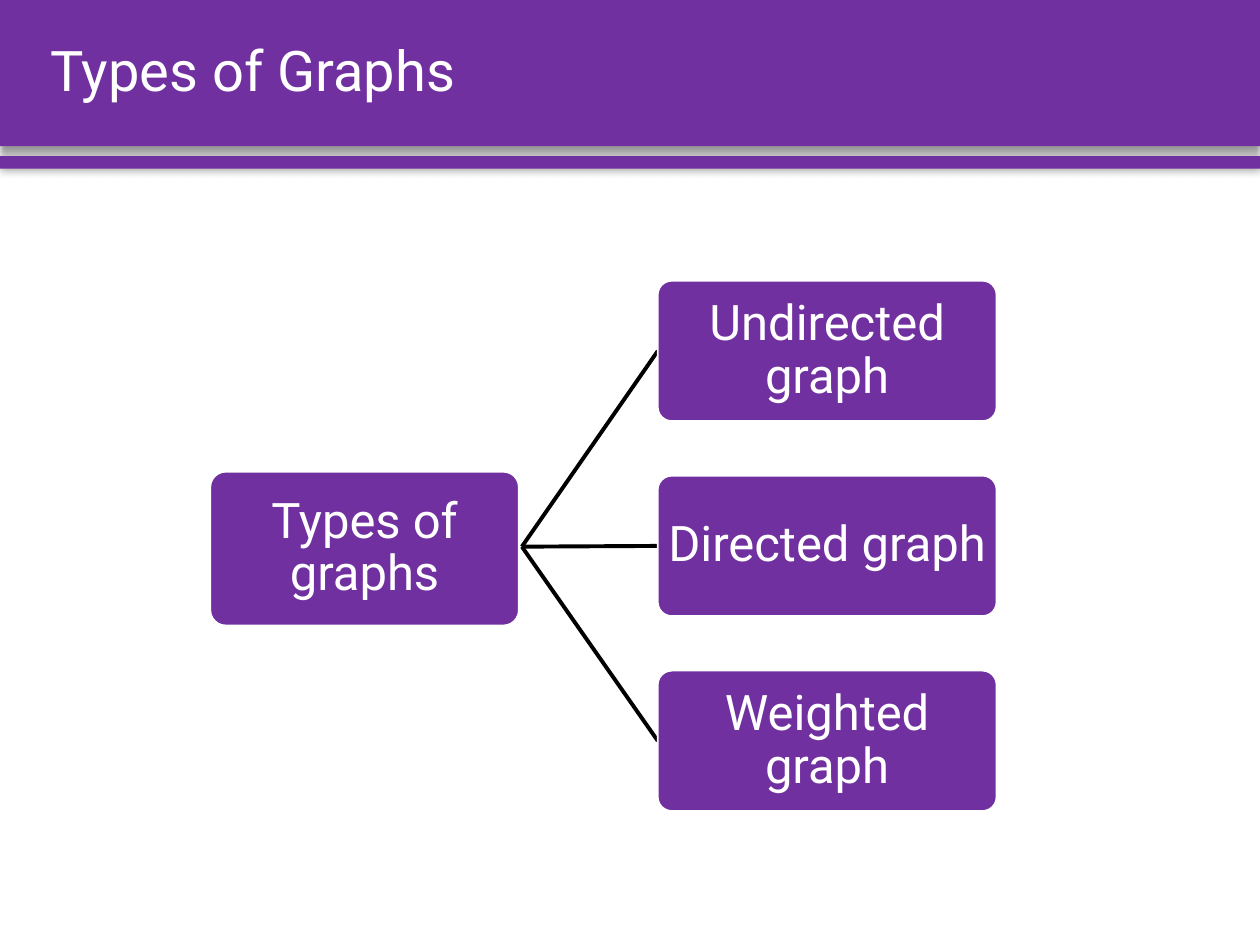
from dataclasses import dataclass

from lxml import etree
from pptx import Presentation
from pptx.dml.color import RGBColor
from pptx.enum.shapes import MSO_CONNECTOR, MSO_SHAPE
from pptx.enum.text import MSO_ANCHOR, PP_ALIGN
from pptx.oxml.ns import qn
from pptx.shapes.autoshape import Shape
from pptx.util import Cm, Pt

RECT = MSO_SHAPE.RECTANGLE
ROUND = MSO_SHAPE.ROUNDED_RECTANGLE
LINE = MSO_CONNECTOR.STRAIGHT
MIDDLE = MSO_ANCHOR.MIDDLE
LEFT, CENTER = PP_ALIGN.LEFT, PP_ALIGN.CENTER

PURPLE, WHITE, BLACK = "7030A0", "FFFFFF", "000000"
FONT = "Roboto"
LEFT_SIDE = 1
WIDTH, HEIGHT = 25.4, 19.05


@dataclass
class Band:
    top: float
    high: float
    blur: float
    dist: float
    angle: int


@dataclass
class Node:
    text: str
    left: float
    top: float
    wide: float
    high: float


BANDS = [Band(0, 2.95, 4, 3, 90), Band(3.15, 0.25, 5, 0, 0)]
ROOT = Node("Types of graphs", 4.24, 9.51, 6.22, 3.1)
KINDS = ["Undirected graph", "Directed graph", "Weighted graph"]
LEAVES = [Node(kind, 13.26, 5.66 + 3.93 * row, 6.83, 2.83)
          for row, kind in enumerate(KINDS)]
FORK = (10.52, 11.02)


def paint(part, color: str) -> None:
    part.solid()
    part.fore_color.rgb = RGBColor.from_string(color)


def write(shape: Shape, text: str, size: int, align: PP_ALIGN) -> None:
    frame = shape.text_frame
    frame.text = text
    frame.word_wrap = True
    frame.vertical_anchor = MIDDLE
    para = frame.paragraphs[0]
    para.alignment = align
    para.line_spacing = 0.9
    para.font.name = FONT
    para.font.size = Pt(size)
    para.font.color.rgb = RGBColor.from_string(WHITE)


def draw_band(slide, band: Band) -> None:
    shape = slide.shapes.add_shape(
        RECT, 0, Cm(band.top), Cm(WIDTH), Cm(band.high))
    paint(shape.fill, PURPLE)
    shape.line.fill.background()
    # Soft shadow below the band
    shape.shadow.inherit = False
    effects = shape.element.spPr.find(qn("a:effectLst"))
    shadow = etree.SubElement(
        effects, qn("a:outerShdw"), blurRad=str(Pt(band.blur)),
        dist=str(Pt(band.dist)), dir=str(band.angle * 60000),
        algn="ctr", rotWithShape="0")
    color = etree.SubElement(shadow, qn("a:srgbClr"), val=BLACK)
    etree.SubElement(color, qn("a:alpha"), val="40000")
    # Keep the bands behind the title
    slide.shapes.title.element.addprevious(shape.element)


def draw_node(slide, node: Node) -> Shape:
    shape = slide.shapes.add_shape(
        ROUND, Cm(node.left), Cm(node.top), Cm(node.wide), Cm(node.high))
    shape.adjustments[0] = 0.1
    shape.shadow.inherit = False
    paint(shape.fill, PURPLE)
    paint(shape.line.fill, WHITE)
    shape.line.width = Pt(1)
    frame = shape.text_frame
    frame.margin_left = frame.margin_right = Cm(0.08)
    frame.margin_top = frame.margin_bottom = Cm(0.18)
    write(shape, node.text, 28, CENTER)
    return shape


def draw_branch(slide, node: Node) -> None:
    x, y = map(Cm, FORK)
    line = slide.shapes.add_connector(LINE, x, y, x, y)
    paint(line.line.fill, BLACK)
    line.line.width = Pt(2.25)
    etree.SubElement(line.element.spPr, qn("a:effectLst"))
    line.end_connect(draw_node(slide, node), LEFT_SIDE)


def main() -> None:
    deck = Presentation()
    deck.slide_width, deck.slide_height = Cm(WIDTH), Cm(HEIGHT)
    slide = deck.slides.add_slide(deck.slide_layouts[5])

    # Header
    for band in BANDS:
        draw_band(slide, band)
    title = slide.shapes.title
    title.left, title.top = Cm(0.76), Cm(0)
    title.width, title.height = Cm(24.03), Cm(2.95)
    write(title, "Types of Graphs", 32, LEFT)

    # Tree
    draw_node(slide, ROOT)
    for leaf in LEAVES:
        draw_branch(slide, leaf)

    deck.save("out.pptx")


if __name__ == "__main__":
    main()
